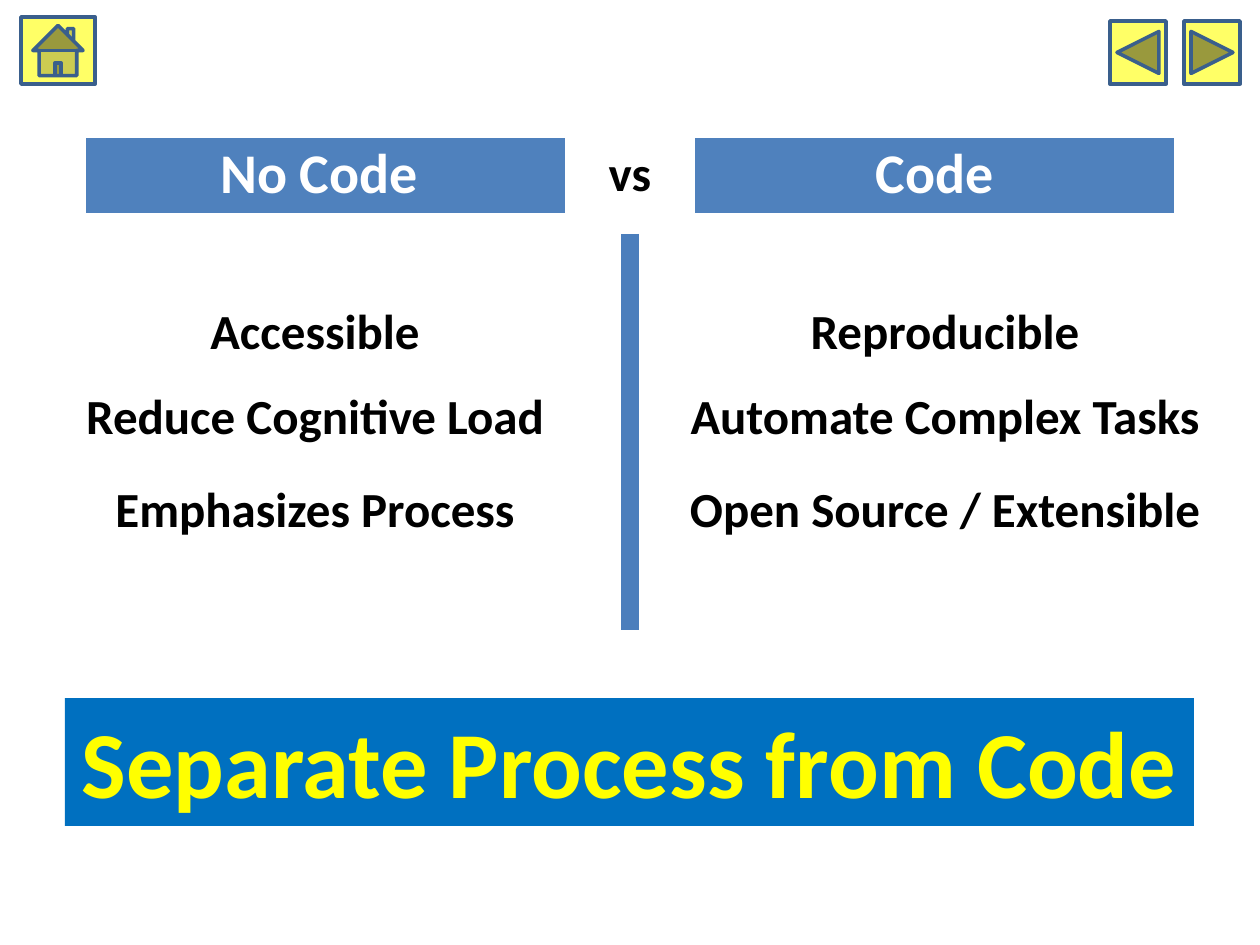
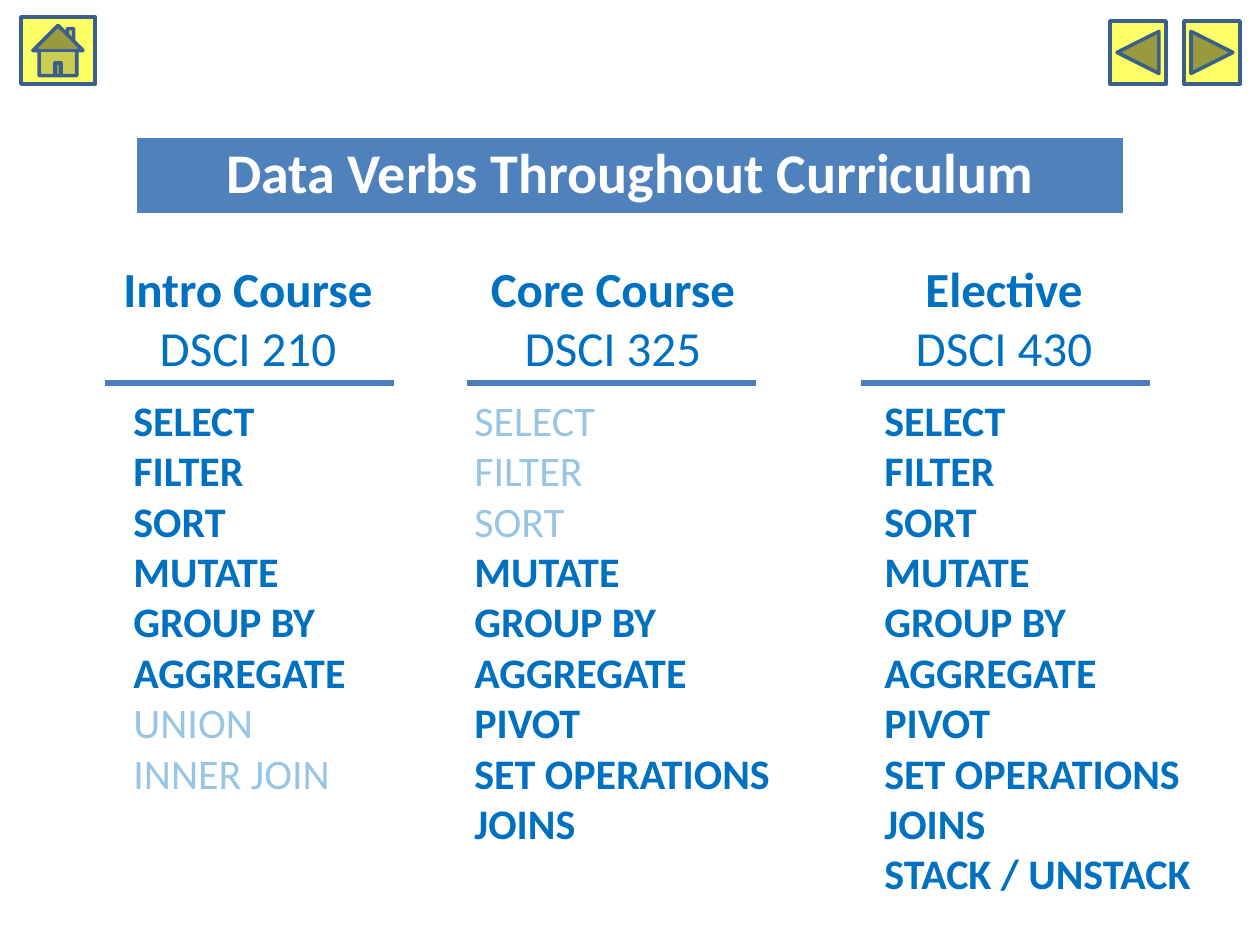
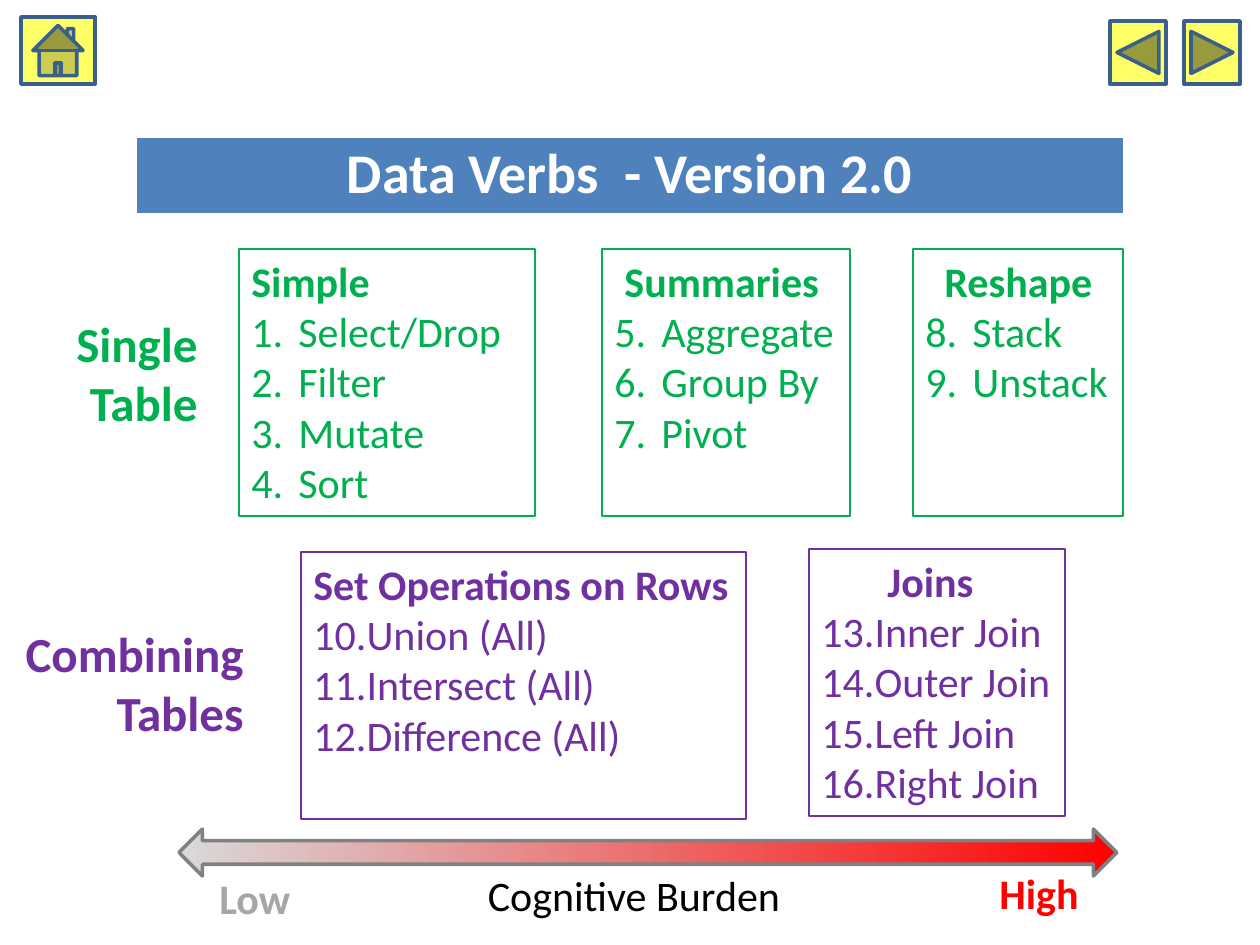
from lxml import etree
from pptx import Presentation
from pptx.dml.color import RGBColor
from pptx.enum import shapes, text
from pptx.oxml import ns
from pptx.util import Emu, Pt

FONT = "Calibri"
BLACK, WHITE, YELLOW, RED = "000000", "FFFFFF", "FFFF00", "FF0000"
BAND, RULE, BLUE = "4F81BD", "4B7EBC", "0070C0"
GREEN, PURPLE, SILVER, GREY = "00B050", "7030A0", "A6A6A6", "808080"
BUTTON, BUTTON_EDGE, PALE = "FFFF66", "3A5F8C", "D9D9D9"
SHAPE, ALIGN, ANCHOR = shapes.MSO_SHAPE, text.PP_ALIGN, text.MSO_ANCHOR
TOP_BAND = (135, 136, 990, 79)


def px(length):
    """Turn pixels into EMU."""
    return Emu(round(length * 914400 / 126))


def rgb(colour):
    """Turn a hex string into a colour."""
    return RGBColor.from_string(colour)


def assign(target, values):
    """Set every named value on an object."""
    for name, value in values.items():
        setattr(target, name, value)


def strong(*words):
    """Mark lines as bold."""
    return [(word, True) for word in words]


def plain(*words):
    """Mark lines as regular weight."""
    return [(word, False) for word in words]


def write(box, lines, size, colour, anchor=ANCHOR.TOP, inset=None, **layout):
    """Fill a box with lines, each its own paragraph, and return them."""
    frame = box.text_frame
    assign(frame, {"word_wrap": True, "auto_size": text.MSO_AUTO_SIZE.NONE,
                   "vertical_anchor": anchor})
    if inset is not None:
        sides = ("left", "top", "right", "bottom")
        assign(frame, {f"margin_{side}": px(inset) for side in sides})
    for number, (words, bold) in enumerate(lines):
        para = frame.add_paragraph() if number else frame.paragraphs[0]
        assign(para, {"alignment": ALIGN.LEFT, **layout})
        span = para.add_run()
        span.text = words
        assign(span.font, {"name": FONT, "size": Pt(size), "bold": bold})
        span.font.color.rgb = rgb(colour)
    return frame.paragraphs


def paint(box, fill=None, edge=None, width=1):
    """Give a shape its fill and outline."""
    if fill:
        box.fill.solid()
        box.fill.fore_color.rgb = rgb(fill)
    else:
        box.fill.background()
    if edge:
        box.line.color.rgb = rgb(edge)
        box.line.width = Pt(width)
    else:
        box.line.fill.background()


def add_box(page, kind, place, fill=None, edge=None, width=1):
    """Add a flat preset shape."""
    box = page.shapes.add_shape(kind, *map(px, place))
    box.shadow.inherit = False
    paint(box, fill, edge, width)
    return box


def add_label(page, place, lines, size, colour, align=ALIGN.CENTER):
    """Add a plain text box."""
    box = page.shapes.add_textbox(*map(px, place))
    write(box, lines, size, colour, alignment=align)


def add_rule(page, start, end, width):
    """Add a straight line."""
    rule = page.shapes.add_connector(
        shapes.MSO_CONNECTOR.STRAIGHT, *map(px, start + end))
    rule.line.color.rgb = rgb(RULE)
    rule.line.width = Pt(width)
    etree.SubElement(rule._element.spPr, ns.qn("a:effectLst"))


def add_veil(page, place):
    """Add a translucent white sheet that fades the text below it."""
    veil = add_box(page, SHAPE.RECTANGLE, place, WHITE)
    shade = veil._element.spPr.find(".//" + ns.qn("a:srgbClr"))
    etree.SubElement(shade, ns.qn("a:alpha"), val="60000")


def place_title(page, place):
    """Move the title placeholder and return it."""
    title = page.shapes.title
    names = ("left", "top", "width", "height")
    assign(title, dict(zip(names, map(px, place))))
    return title


def style_band(box, words):
    """Format a box as a blue heading band."""
    paint(box, BAND, WHITE, 2)
    write(box, strong(words), 32, WHITE, ANCHOR.MIDDLE, inset=9,
          alignment=ALIGN.CENTER, line_spacing=0.9, space_after=Pt(6))


def number_lines(paras, start):
    """Number paragraphs from a start value with a hanging indent."""
    for para in paras:
        props = para._p.get_or_add_pPr()
        props.set("marL", str(px(47)))
        props.set("indent", str(-px(47)))
        etree.SubElement(props, ns.qn("a:buFont"), typeface="+mj-lt")
        etree.SubElement(props, ns.qn("a:buAutoNum"),
                         type="arabicPeriod", startAt=str(start))


def add_verb_card(page, place, colour, heading, indent, start, verbs):
    """Add an outlined card with a heading and numbered verbs."""
    card = add_box(page, SHAPE.RECTANGLE, place, edge=colour, width=0.75)
    paras = write(card, strong(heading) + plain(*verbs), 24, colour)
    paras[0]._p.get_or_add_pPr().set("marL", str(px(indent)))
    number_lines(paras[1:], start)


def add_page(deck):
    """Add a title-only page with its navigation buttons."""
    page = deck.slides.add_slide(deck.slide_layouts[5])
    for kind, place in (
            (SHAPE.ACTION_BUTTON_HOME, (21, 17, 74, 67)),
            (SHAPE.ACTION_BUTTON_FORWARD_OR_NEXT, (1184, 21, 56, 63)),
            (SHAPE.ACTION_BUTTON_BACK_OR_PREVIOUS, (1110, 21, 56, 63))):
        add_box(page, kind, place, BUTTON, BUTTON_EDGE, 2)
    return page


def build_comparison(deck):
    """Build the no code and code comparison."""
    page = add_page(deck)
    title = place_title(page, (65, 698, 1129, 128))
    paint(title, BLUE)
    write(title, strong("Separate Process from Code"), 54, YELLOW,
          alignment=ALIGN.CENTER)
    sides = (
        ("No Code ", 84, 0,
         ("Accessible", "Reduce Cognitive Load", "Emphasizes Process")),
        ("Code", 693, 630,
         ("Reproducible", "Automate Complex Tasks",
          "Open Source / Extensible")))
    for heading, band_left, left, points in sides:
        band = add_box(page, SHAPE.RECTANGLE, (band_left, 136, 483, 79))
        style_band(band, heading)
        for top, point in zip((294, 379, 472), points):
            add_label(page, (left, top, 630, 72), strong(point), 28, BLACK)
    add_label(page, (567, 136, 126, 72), strong("vs"), 28, BLACK)
    add_rule(page, (630, 234), (630, 630), 10)


def build_curriculum(deck):
    """Build the three course columns."""
    page = add_page(deck)
    style_band(place_title(page, TOP_BAND), "Data Verbs Throughout Curriculum")
    basics = ("SELECT", "FILTER", "SORT")
    grouping = ("MUTATE", "GROUP BY", "AGGREGATE")
    advanced = ("PIVOT", "SET OPERATIONS", "JOINS")
    courses = (
        ("Intro Course", "DSCI 210", 108, 105, 121,
         strong(*basics, *grouping) + plain("UNION", "INNER JOIN")),
        ("Core Course", "DSCI 325", 473, 467, 462,
         plain(*basics) + strong(*grouping, *advanced)),
        ("Elective", "DSCI 430", 864, 861, 872,
         strong(*basics, *grouping, *advanced, "STACK / UNSTACK")))
    for course, code, head_left, rule_left, list_left, verbs in courses:
        add_label(page, (head_left, 252, 280, 131),
                  strong(course) + plain(code), 28, BLUE)
        add_label(page, (list_left, 388, 336, 13 + 51 * len(verbs)),
                  verbs, 24, BLUE, ALIGN.LEFT)
        add_rule(page, (rule_left, 383), (rule_left + 289, 383), 3)
    add_veil(page, (111, 703, 262, 105))
    add_veil(page, (473, 389, 291, 160))


def build_verbs(deck):
    """Build the grouped verbs above the burden scale."""
    page = add_page(deck)
    style_band(place_title(page, TOP_BAND), "Data Verbs  - Version 2.0")
    cards = (
        ((239, 249, 296, 267), GREEN, "Simple", 0, 1,
         ("Select/Drop", "Filter", "Mutate", "Sort")),
        ((602, 249, 248, 267), GREEN, "Summaries", 10, 5,
         ("Aggregate", "Group By", "Pivot")),
        ((913, 249, 210, 267), GREEN, "Reshape", 19, 8,
         ("Stack", "Unstack")),
        ((301, 552, 445, 267), PURPLE, "Set Operations on Rows", 0, 10,
         ("Union (All)", "Intersect (All)", "Difference (All)")),
        ((809, 549, 256, 267), PURPLE, "Joins", 66, 13,
         ("Inner Join", "Outer Join", "Left Join", "Right Join")))
    for card in cards:
        add_verb_card(page, *card)
    add_label(page, (10, 617, 246, 131), strong("Combining", "Tables"),
              28, PURPLE, ALIGN.RIGHT)
    add_label(page, (31, 307, 179, 131), strong("Single", "Table"),
              28, GREEN, ALIGN.RIGHT)

    scale = add_box(page, SHAPE.LEFT_RIGHT_ARROW, (179, 829, 938, 47),
                    edge=GREY, width=2)
    scale.fill.gradient()
    scale.fill.gradient_angle = 0
    for stop, position, colour in zip(
            scale.fill.gradient_stops, (0, 1), (PALE, RED)):
        stop.position = position
        stop.color.rgb = rgb(colour)
    add_label(page, (207, 866, 97, 63), strong("Low"), 24, SILVER, ALIGN.LEFT)
    add_label(page, (987, 861, 106, 63), strong("High"), 24, RED, ALIGN.LEFT)
    add_label(page, (282, 863, 704, 63), plain("Cognitive Burden"), 24, BLACK)


def main():
    """Build and save the deck."""
    deck = Presentation()
    assign(deck, {"slide_width": px(1260), "slide_height": px(945)})
    for build in (build_comparison, build_curriculum, build_verbs):
        build(deck)
    deck.save("out.pptx")


if __name__ == "__main__":
    main()
